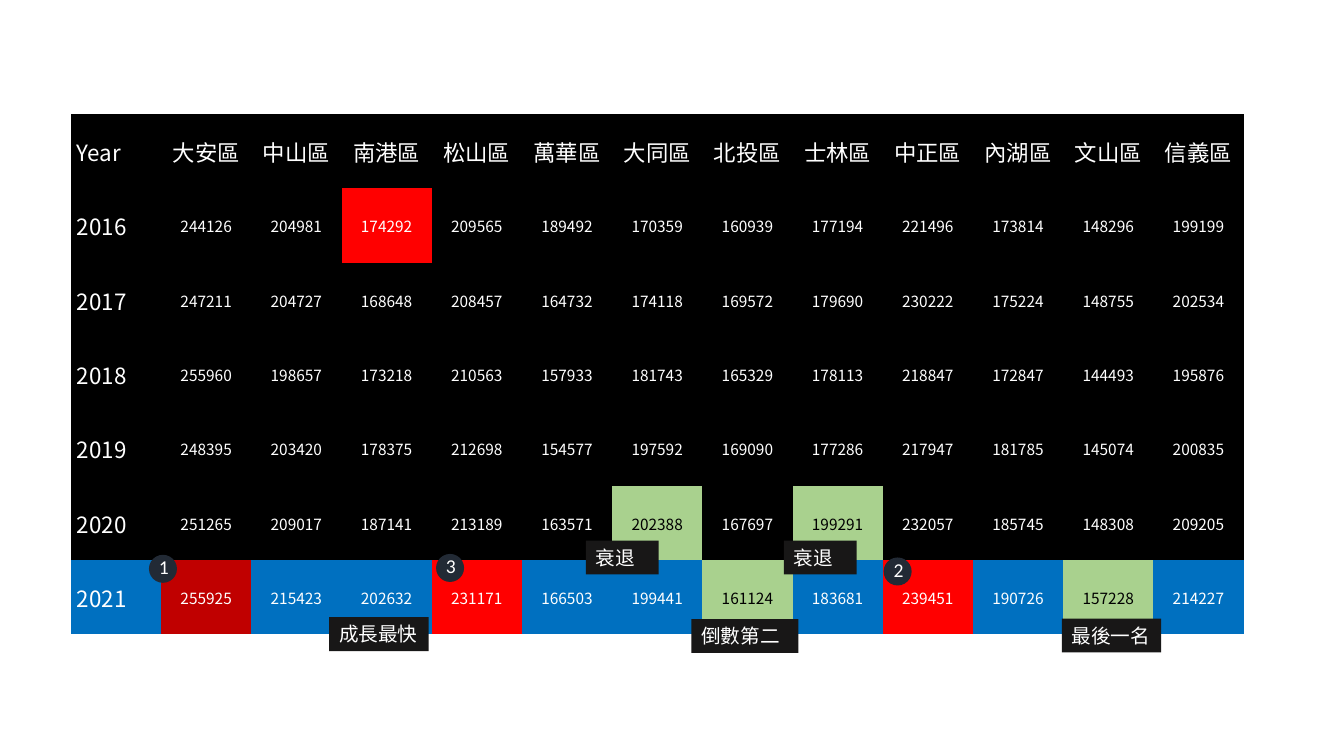
from dataclasses import dataclass

from pptx import Presentation
from pptx.dml.color import RGBColor
from pptx.enum.shapes import MSO_SHAPE
from pptx.enum.text import MSO_ANCHOR, PP_ALIGN
from pptx.util import Pt


@dataclass(frozen=True)
class Theme:
    white: str = "FFFFFF"
    black: str = "000000"
    blue: str = "0070C0"
    red: str = "FF0000"
    dark_red: str = "C00000"
    green: str = "A9D18E"
    label: str = "181717"
    badge: str = "222A35"
    table_font: str = "Noto Sans CJK SC"
    label_font: str = "Calibri"
    heading_size: int = 16
    value_size: int = 11
    label_size: int = 14
    plain_table_style: str = "{2D5ABB26-0587-4C30-8999-92F81FD0307C}"


THEME = Theme()

TABLE_LEFT, TABLE_TOP = 50.65, 81.4
COLUMN_WIDTH, ROW_HEIGHT = 64.45, 53.1

DISTRICTS = ["大安區", "中山區", "南港區", "松山區", "萬華區", "大同區",
             "北投區", "士林區", "中正區", "內湖區", "文山區", "信義區"]
VALUES = {
    2016: [244126, 204981, 174292, 209565, 189492, 170359,
           160939, 177194, 221496, 173814, 148296, 199199],
    2017: [247211, 204727, 168648, 208457, 164732, 174118,
           169572, 179690, 230222, 175224, 148755, 202534],
    2018: [255960, 198657, 173218, 210563, 157933, 181743,
           165329, 178113, 218847, 172847, 144493, 195876],
    2019: [248395, 203420, 178375, 212698, 154577, 197592,
           169090, 177286, 217947, 181785, 145074, 200835],
    2020: [251265, 209017, 187141, 213189, 163571, 202388,
           167697, 199291, 232057, 185745, 148308, 209205],
    2021: [255925, 215423, 202632, 231171, 166503, 199441,
           161124, 183681, 239451, 190726, 157228, 214227],
}
ROW_FILLS = {"2021": THEME.blue}
HIGHLIGHTS = {
    ("2016", "南港區"): THEME.red,
    ("2020", "大同區"): THEME.green,
    ("2020", "士林區"): THEME.green,
    ("2021", "大安區"): THEME.dark_red,
    ("2021", "松山區"): THEME.red,
    ("2021", "北投區"): THEME.green,
    ("2021", "中正區"): THEME.red,
    ("2021", "文山區"): THEME.green,
}

# text, left, top, width
LABELS = [
    ("最後一名", 758.4, 441.9, 71),
    ("倒數第二", 493.8, 442.2, 76.5),
    ("成長最快", 235.1, 440.9, 71),
    ("衰退", 560, 386.2, 52),
    ("衰退", 418.5, 386.2, 52),
]
# rank, left, top
BADGES = [("1", 106.4, 396.3), ("2", 631.2, 398.2), ("3", 311.5, 395.7)]


class SlideBuilder:
    def __init__(self, page, theme):
        self.page = page
        self.theme = theme

    def set_text(self, frame, text, size, font, color, align=PP_ALIGN.LEFT):
        para = frame.paragraphs[0]
        para.text = text
        para.alignment = align
        para.font.size = Pt(size)
        para.font.name = font
        para.font.color.rgb = RGBColor.from_string(color)

    def shape(self, parent, kind, left, top, width, height, fill):
        shape = parent.add_shape(kind, Pt(left), Pt(top), Pt(width), Pt(height))
        shape.shadow.inherit = False
        shape.fill.solid()
        shape.fill.fore_color.rgb = RGBColor.from_string(fill)
        shape.line.fill.background()
        return shape

    def annotation(self, box, text):
        """Set label text from the top left corner of a box."""
        frame = box.text_frame
        frame.word_wrap = True
        frame.vertical_anchor = MSO_ANCHOR.TOP
        self.set_text(frame, text, self.theme.label_size,
                      self.theme.label_font, self.theme.white)

    def label(self, text, left, top, width):
        box = self.shape(self.page.shapes, MSO_SHAPE.RECTANGLE,
                         left, top, width, 24.2, self.theme.label)
        self.annotation(box, text)

    def badge(self, rank, left, top):
        group = self.page.shapes.add_group_shape()
        self.shape(group.shapes, MSO_SHAPE.OVAL, left, top, 20, 20, self.theme.badge)
        box = group.shapes.add_textbox(Pt(left), Pt(top - 3.4), Pt(26.6), Pt(24.2))
        self.annotation(box, rank)

    def cell(self, cell, text, fill, heading, row_name):
        theme = self.theme
        cell.fill.solid()
        cell.fill.fore_color.rgb = RGBColor.from_string(fill)
        cell.vertical_anchor = MSO_ANCHOR.MIDDLE
        cell.margin_left = Pt(4.3 if row_name else 0.7)
        cell.margin_right = cell.margin_top = Pt(0.7)
        cell.margin_bottom = 0
        self.set_text(cell.text_frame, text,
                      theme.heading_size if heading else theme.value_size,
                      theme.table_font,
                      theme.black if fill == theme.green else theme.white,
                      PP_ALIGN.LEFT if row_name else PP_ALIGN.CENTER)

    def table(self, header, rows):
        grid = [header, *rows]
        table = self.page.shapes.add_table(
            len(grid), len(header), Pt(TABLE_LEFT), Pt(TABLE_TOP),
            Pt(COLUMN_WIDTH * len(header)), Pt(ROW_HEIGHT * len(grid))).table
        table.first_row = table.horz_banding = False
        table._tbl.tblPr.find("{*}tableStyleId").text = self.theme.plain_table_style
        for column in table.columns:
            column.width = Pt(COLUMN_WIDTH)
        for r, texts in enumerate(grid):
            table.rows[r].height = Pt(ROW_HEIGHT)
            row_fill = ROW_FILLS.get(texts[0], self.theme.black)
            for c, text in enumerate(texts):
                fill = HIGHLIGHTS.get((texts[0], header[c]), row_fill)
                self.cell(table.cell(r, c), text, fill, r == 0 or c == 0, c == 0)


def main():
    deck = Presentation()
    deck.slide_width, deck.slide_height = Pt(960), Pt(540)
    builder = SlideBuilder(deck.slides.add_slide(deck.slide_layouts[6]), THEME)
    builder.table(["Year", *DISTRICTS],
                  [[str(item) for item in (year, *values)]
                   for year, values in VALUES.items()])
    for label in LABELS:
        builder.label(*label)
    for badge in BADGES:
        builder.badge(*badge)
    deck.save("out.pptx")


if __name__ == "__main__":
    main()
